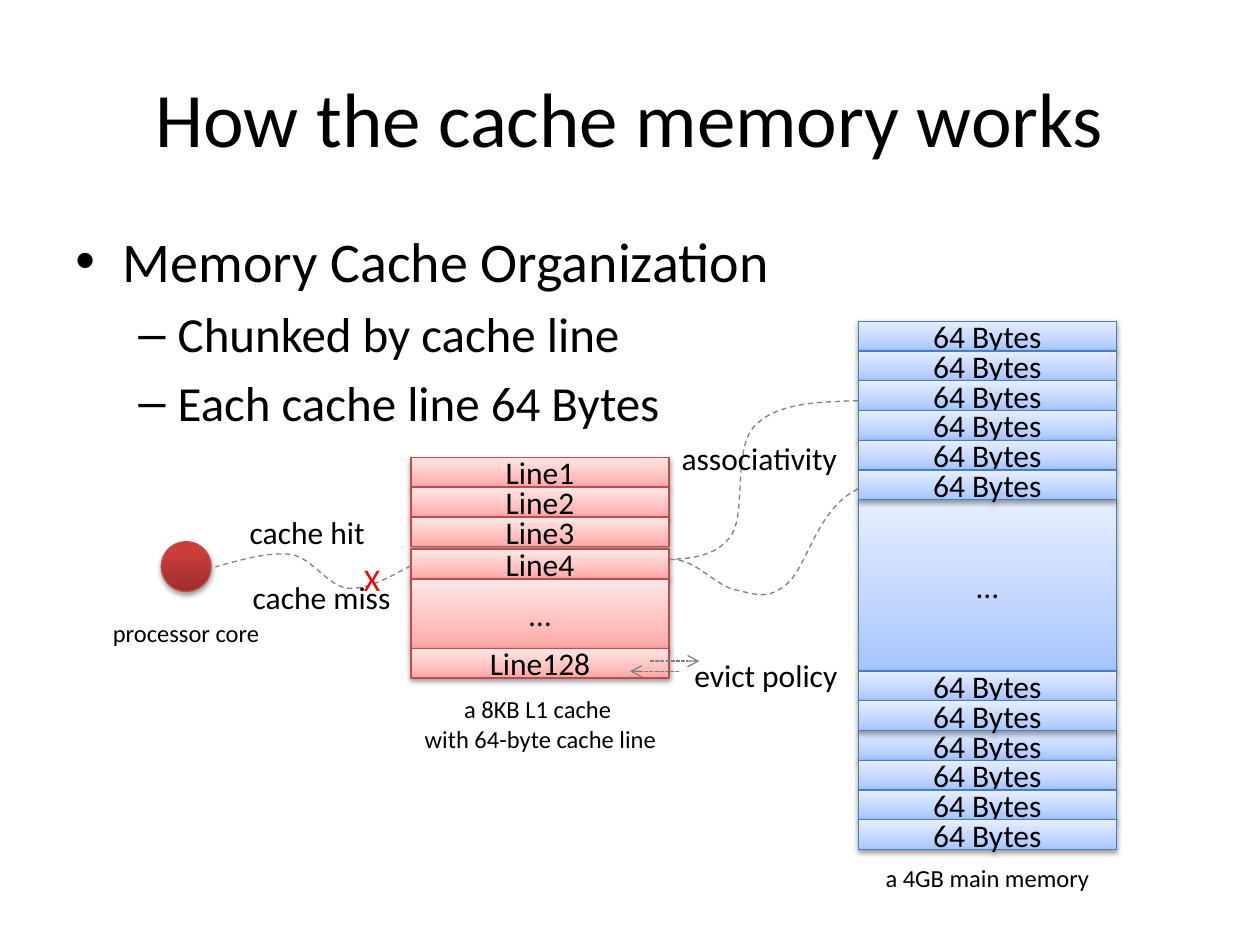
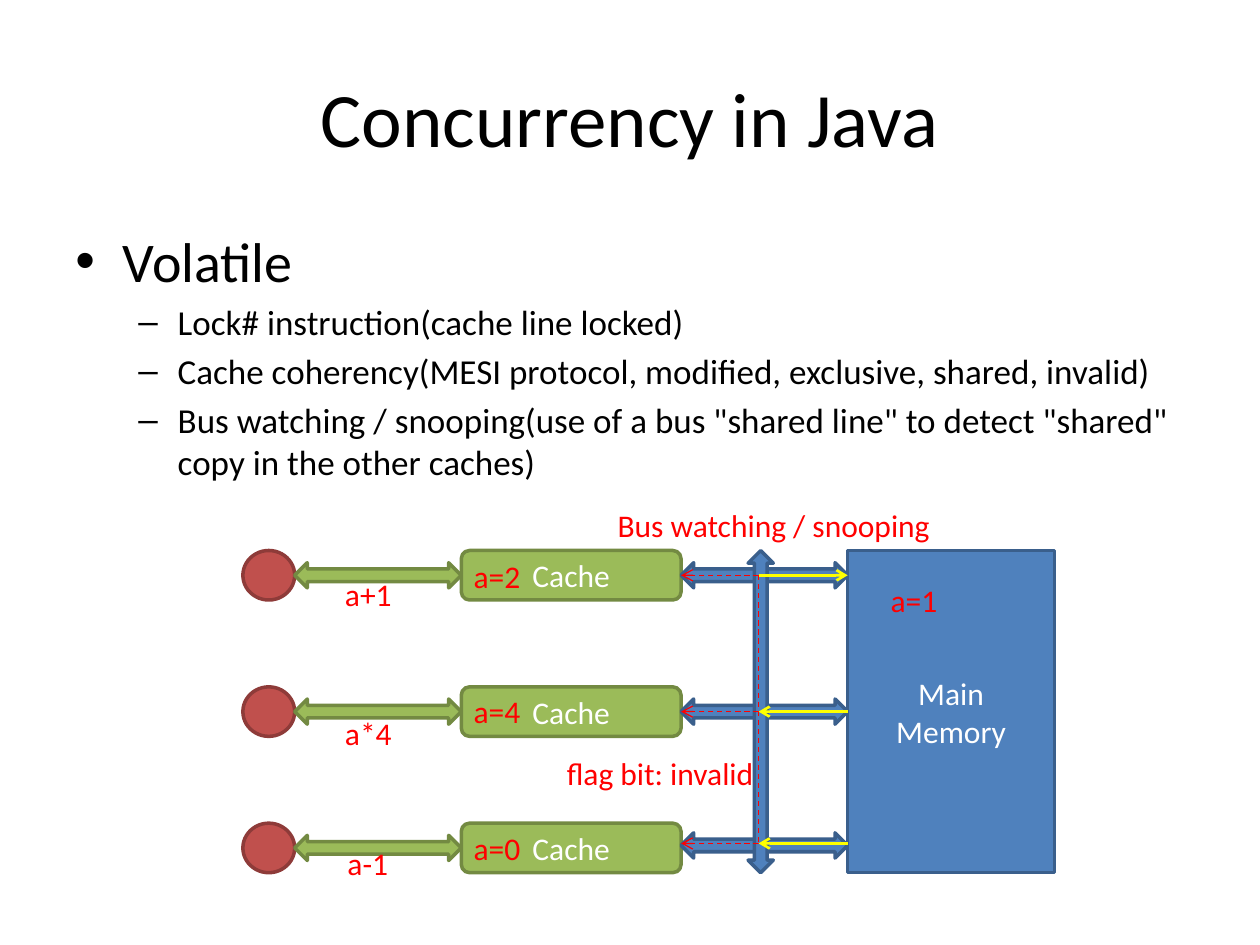
from copy import deepcopy
from dataclasses import dataclass
from lxml import etree
from pptx import Presentation, util as u
from pptx.dml.color import RGBColor
from pptx.enum import dml, shapes, text
from pptx.oxml.ns import qn


@dataclass(frozen=True)
class Theme:
    font: str = "Calibri"
    title: int = 44
    bullet: int = 32
    label: int = 18
    caption: int = 14
    black: str = "000000"
    white: str = "FFFFFF"
    red: str = "FF0000"
    yellow: str = "FFFF00"
    grey: str = "808080"
    blue: tuple = ("4F81BD", "3A5F8C")
    green: tuple = ("9BBB59", "738A42")
    brick: tuple = ("C0504D", "8E3B39")
    pink_fade: tuple = ("BF4C48", (0, "FFA6A5"), (0.35, "FFC0BF"), (1, "FFE7E7"))
    blue_fade: tuple = ("4B7EBC", (0, "A4C4FF"), (0.35, "BFD4FF"), (1, "E6EEFF"))
    core_fade: tuple = ("BF4C48", (0, "9C2F2D"), (0.8, "CB3E3A"), (1, "CE3B37"))


T = Theme()
SHAPE = shapes.MSO_SHAPE
DASH = dml.MSO_LINE.DASH
CENTER, LEFT = text.PP_ALIGN.CENTER, text.PP_ALIGN.LEFT

ORGANIZATION = {
    "title": "How the cache memory works",
    "head": "Memory Cache Organization",
    "size": 28,
    "points": ["Chunked by cache line", "Each cache line 64 Bytes"],
}
VOLATILE = {
    "title": "Concurrency in Java",
    "head": "Volatile",
    "size": 20,
    "points": [
        "Lock# instruction(cache line locked)",
        "Cache coherency(MESI protocol, modified, exclusive, shared, invalid)",
        'Bus watching / snooping(use of a bus "shared line" to detect "shared" '
        "copy in the other caches)",
    ],
}

CELL_W, CELL_H = 147.6, 17
CACHE_LEFT, CACHE_TOP = 234.8, 261.4
MEMORY_LEFT, MEMORY_TOP = 490.4, 183.6
CACHE_CELLS = [("Line1", CELL_H, 0), ("Line2", CELL_H, 0), ("Line3", CELL_H, 0),
               ("Line4", CELL_H, 1.4), ("…", 39.6, 0), ("Line128", CELL_H, 0)]
MEMORY_CELLS = ([("64 Bytes", CELL_H, 0)] * 6 + [("…", 97.9, 0)]
                + [("64 Bytes", CELL_H, 0)] * 6)
MEMORY_ORDER = [0, 1, 2, 3, 6, 9, 10, 11, 12, 4, 5, 7, 8]

CAPTIONS = [
    (["a 8KB L1 cache ", "with 64-byte cache line"], 234.7, 393.1, 148.3, 41),
    (["a 4GB main memory"], 498.4, 489.6, 131.8, 24.5),
    (["processor core"], 57.1, 349.5, 98.6, 24.5),
]
CACHE_LABELS = [
    ("associativity", 382.4, 247.3, 104.4, T.black, False),
    ("evict policy", 389.7, 371.1, 97.2, T.black, True),
    ("cache hit", 135.6, 289.4, 86.4, T.black, True),
    ("cache miss", 137.3, 326.9, 93.6, T.black, True),
    ("X", 200.9, 316.4, 23.8, T.red, False),
]
LOOKUP_CURVES = [
    [(490.3, 229), (466.6, 229.7), (443.5, 230.4), (431.3, 243.4), (419, 255.6),
     (426.2, 292.3), (418.3, 305.3), (410.4, 317.5), (396.7, 319), (383, 319.7)],
    [(234.7, 323.3), (222.5, 329.8), (210.2, 337), (198.7, 336.2), (187.2, 334.8),
     (178.6, 319), (166.3, 316.8), (153.4, 315.4), (138.2, 319.7), (123.1, 324)],
    [(490.3, 279.4), (466.6, 290.9), (461.5, 324), (449.3, 334.1), (437.8, 343.4),
     (430.6, 339.1), (419.8, 337), (409, 334.8), (397.4, 319), (383, 319.7)],
]
EVICT_ARROWS = [((371.5, 377.8), (399.6, 377.8)), ((388.1, 383.6), (360, 383.6))]

ROW_TOP, ROW_STEP, ROW_H, ARROW_H = 314.6, 77.9, 28.3, 14.4
CORE_X, CACHE_X, BUS_X, MAIN_X = 138.8, 263.6, 433.5, 484.4
CORE_W, CACHE_W, MAIN_W = 29.6, 125.6, 118.2
ROWS = [
    {"bus_lift": 0, "signal_lift": 0, "to_memory": True},
    {"bus_lift": 0, "signal_lift": 0, "to_memory": False},
    {"bus_lift": 1.4, "signal_lift": 2.6, "to_memory": False},
]
VALUE_LABELS = [
    ("a=1", 501.8, 328.3, 41.8), ("a=2", 263.5, 314.6, 41.8),
    ("a=4", 263.5, 391.7, 41.8), ("a=0", 263.5, 470.2, 41.8),
    ("a+1", 190, 325.1, 41.8), ("a*4", 190, 404.6, 41.8),
    ("a-1", 191.5, 478.8, 38.2),
]
SNOOP_LABEL = ("Bus watching / snooping", 345.8, 285.8, 195.1)
FLAG_LABEL = ("flag bit: invalid", 316.8, 427.3, 122.4)


def rgb(value):
    return RGBColor.from_string(value)


def pts(*values):
    return [u.Pt(v) for v in values]


def add_run(p, words, size, color):
    r = p.add_run()
    r.text = words
    r.font.name, r.font.size = T.font, u.Pt(size)
    r.font.color.rgb = rgb(color)


def add_text(s, lines, box, size, color=T.black, align=LEFT, wrap=True, grow=True):
    tf = s.shapes.add_textbox(*pts(*box)).text_frame
    tf.word_wrap = wrap
    if grow:
        tf.auto_size = text.MSO_AUTO_SIZE.SHAPE_TO_FIT_TEXT
    for i, words in enumerate(lines):
        p = tf.add_paragraph() if i else tf.paragraphs[0]
        p.alignment = align
        add_run(p, words, size, color)
    return tf


def add_label(s, words, x, y, w, color=T.red, wrap=False):
    add_text(s, [words], (x, y, w, 29.1), T.label, color, wrap=wrap)


def add_bullet(p, words, size, mark, margin, hang):
    pPr = p._p.get_or_add_pPr()
    pPr.set("marL", str(u.Pt(margin)))
    pPr.set("indent", str(-u.Pt(hang)))
    before = etree.SubElement(pPr, qn("a:spcBef"))
    etree.SubElement(before, qn("a:spcPct"), val="20000")
    etree.SubElement(pPr, qn("a:buFont"), typeface="Arial")
    etree.SubElement(pPr, qn("a:buChar"), char=mark)
    add_run(p, words, size, T.black)


def add_slide(prs, content):
    s = prs.slides.add_slide(prs.slide_layouts[6])
    tf = add_text(s, [content["title"]], (36, 21.6, 648, 90), T.title,
                  align=CENTER, grow=False)
    tf.vertical_anchor = text.MSO_ANCHOR.MIDDLE
    tf = add_text(s, [], (36, 126, 648, 356.4), T.bullet, grow=False)
    add_bullet(tf.paragraphs[0], content["head"], T.bullet, "•", 27, 27)
    for words in content["points"]:
        add_bullet(tf.add_paragraph(), words, content["size"], "–", 58.5, 22.5)
    return s


def add_block(parent, kind, box, line, width, words="", color=T.black):
    sp = parent.shapes.add_shape(kind, *pts(*box))
    sp.shadow.inherit = False
    sp.line.color.rgb, sp.line.width = rgb(line), u.Pt(width)
    if words:
        tf = sp.text_frame
        tf.vertical_anchor = text.MSO_ANCHOR.MIDDLE
        tf.paragraphs[0].alignment = CENTER
        add_run(tf.paragraphs[0], words, T.label, color)
    return sp


def add_flat(parent, kind, box, colors, words=""):
    fill, line = colors
    sp = add_block(parent, kind, box, line, 2, words, T.white)
    sp.fill.solid()
    sp.fill.fore_color.rgb = rgb(fill)
    return sp


def add_faded(s, kind, box, fade, words=""):
    line, *stops = fade
    sp = add_block(s, kind, box, line, 0.75, words)
    sp.fill.gradient()
    sp.fill.gradient_angle = 90
    spPr = sp._element.spPr
    gs_list = spPr.find(".//" + qn("a:gsLst"))
    gs_list.append(deepcopy(gs_list[0]))
    for stop, (position, color) in zip(sp.fill.gradient_stops, stops):
        stop.position, stop.color.rgb = position, rgb(color)
    shadow = etree.SubElement(
        spPr.find(qn("a:effectLst")), qn("a:outerShdw"), blurRad=str(u.Pt(3.1)),
        dist=str(u.Pt(1.6)), dir="5400000", rotWithShape="0")
    black = etree.SubElement(shadow, qn("a:srgbClr"), val=T.black)
    etree.SubElement(black, qn("a:alpha"), val="38000")


def add_stack(s, cells, left, top, fade, order=None):
    boxes = []
    for words, height, gap in cells:
        top += gap
        boxes.append((words, (left, top, CELL_W, height)))
        top += height
    for i in order or range(len(boxes)):
        words, box = boxes[i]
        add_faded(s, SHAPE.RECTANGLE, box, fade, words)


def add_line(s, start, end, color, width=0.75, dash=None, arrow=True):
    sp = s.shapes.add_connector(shapes.MSO_CONNECTOR.STRAIGHT, *pts(*start, *end))
    sp.line.color.rgb, sp.line.width = rgb(color), u.Pt(width)
    if dash:
        sp.line.dash_style = dash
    if arrow:
        etree.SubElement(sp.line._get_or_add_ln(), qn("a:tailEnd"), type="arrow")
    etree.SubElement(sp._element.spPr, qn("a:effectLst"))
    return sp


def add_curve(s, nodes):
    fb = s.shapes.build_freeform(*pts(*nodes[0]))
    fb.add_line_segments([pts(*node) for node in nodes[1:]], close=False)
    sp = fb.convert_to_shape()
    sp.shadow.inherit = False
    sp.fill.background()
    sp.line.color.rgb, sp.line.width = rgb(T.grey), u.Pt(0.75)
    sp.line.dash_style = DASH
    segments = list(sp._element.spPr.iter(qn("a:lnTo")))
    outline = segments[0].getparent()
    for i in range(0, len(segments), 3):
        cubic = etree.SubElement(outline, qn("a:cubicBezTo"))
        for segment in segments[i:i + 3]:
            cubic.append(segment[0])
            outline.remove(segment)


def build_organization(prs):
    s = add_slide(prs, ORGANIZATION)
    add_stack(s, CACHE_CELLS, CACHE_LEFT, CACHE_TOP, T.pink_fade)
    add_stack(s, MEMORY_CELLS, MEMORY_LEFT, MEMORY_TOP, T.blue_fade, MEMORY_ORDER)
    add_faded(s, SHAPE.OVAL, (92.2, 309.6, 28.4, 28.4), T.core_fade)
    for lines, *box in CAPTIONS:
        add_text(s, lines, box, T.caption, align=CENTER, wrap=False)
    for nodes in LOOKUP_CURVES:
        add_curve(s, nodes)
    for start, end in EVICT_ARROWS:
        add_line(s, start, end, T.grey, dash=dml.MSO_LINE.SQUARE_DOT)
    for label in CACHE_LABELS:
        add_label(s, *label)


def add_core_row(s, top, row):
    group = s.shapes.add_group_shape()
    arrow_top = top + (ROW_H - ARROW_H) / 2
    core_end, cache_end = CORE_X + CORE_W, CACHE_X + CACHE_W
    add_flat(group, SHAPE.OVAL, (CORE_X, top, CORE_W, ROW_H), T.brick)
    cache = add_flat(group, SHAPE.ROUNDED_RECTANGLE, (CACHE_X, top, CACHE_W, ROW_H),
                     T.green, "Cache")
    add_flat(group, SHAPE.LEFT_RIGHT_ARROW,
             (core_end, arrow_top, CACHE_X - core_end, ARROW_H), T.green)
    add_flat(group, SHAPE.LEFT_RIGHT_ARROW,
             (cache_end, arrow_top - row["bus_lift"], MAIN_X - cache_end, ARROW_H), T.blue)
    return cache


def build_volatile(prs):
    s = add_slide(prs, VOLATILE)
    tops = [ROW_TOP + i * ROW_STEP for i in range(len(ROWS))]
    signals = [top + ROW_H / 2 - row["signal_lift"] for top, row in zip(tops, ROWS)]
    main_h = tops[-1] + ROW_H - ROW_TOP
    middle = ROW_TOP + main_h / 2
    memory = add_flat(s, SHAPE.RECTANGLE, (MAIN_X, ROW_TOP, MAIN_W, main_h), T.blue,
                      "Main Memory")
    caches = [add_core_row(s, top, row) for top, row in zip(tops, ROWS)]
    for label in VALUE_LABELS:
        add_label(s, *label)
    bus = add_flat(s, SHAPE.LEFT_RIGHT_ARROW,
                   (BUS_X + 1.2 - main_h / 2, middle - ARROW_H / 2, main_h, ARROW_H), T.blue)
    bus.rotation = 90
    add_label(s, *SNOOP_LABEL)
    add_line(s, (BUS_X, signals[0]), (BUS_X, signals[-1]), T.red, dash=DASH, arrow=False)
    for y, row, cache in zip(signals, ROWS, caches):
        sp = add_line(s, (BUS_X, y), (CACHE_X + CACHE_W, y), T.red, dash=DASH)
        if not row["signal_lift"]:
            sp.end_connect(cache, 3)
    add_label(s, *FLAG_LABEL)
    for y, row in zip(signals, ROWS):
        ends = [(BUS_X, y), (MAIN_X, y)]
        start, end = ends if row["to_memory"] else ends[::-1]
        sp = add_line(s, start, end, T.yellow, 1.5)
        if abs(y - middle) < 0.1:
            sp.begin_connect(memory, 1)


def main():
    prs = Presentation()
    prs.slide_width, prs.slide_height = pts(720, 540)
    build_organization(prs)
    build_volatile(prs)
    prs.save("out.pptx")


if __name__ == "__main__":
    main()
